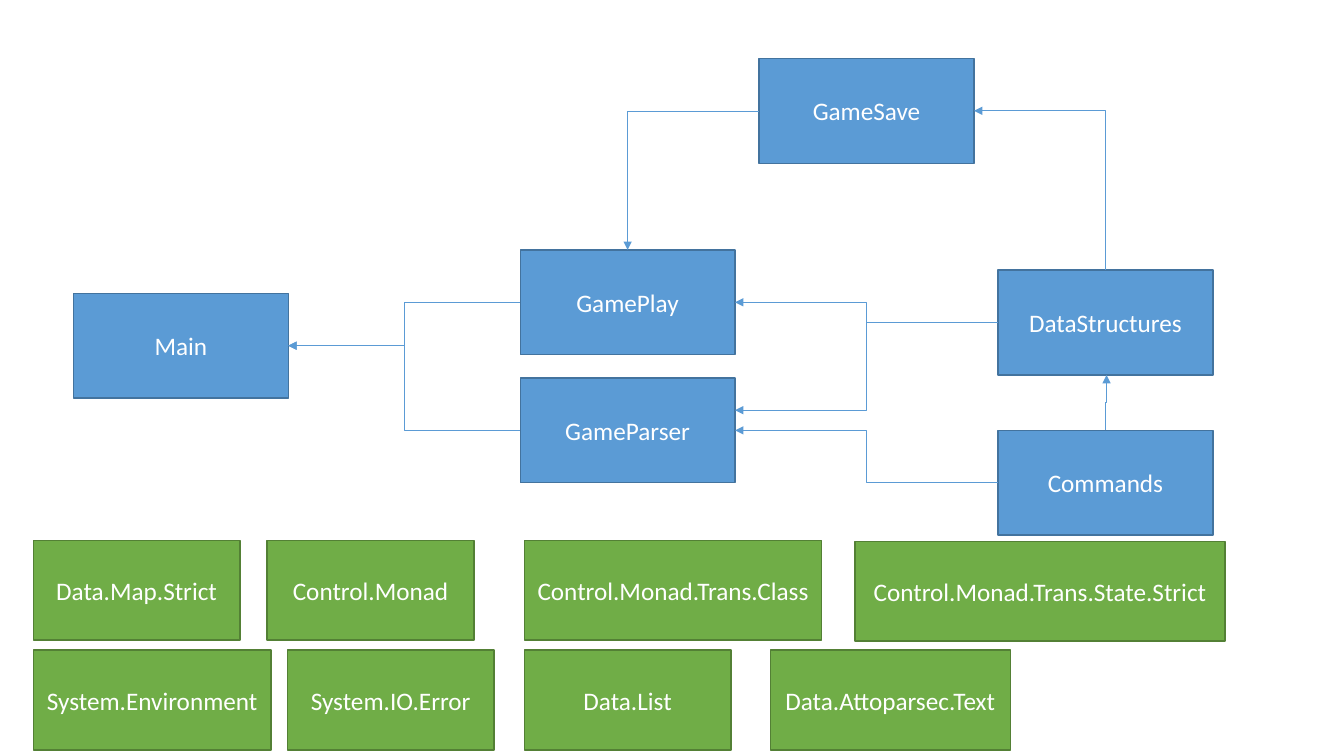
from dataclasses import dataclass

from lxml import etree
from pptx import Presentation
from pptx import util as u
from pptx.dml import color
from pptx.enum import shapes, text
from pptx.oxml import ns

PX = 9144
TOP, LEFT, BOTTOM, RIGHT = range(4)


@dataclass(frozen=True)
class Theme:
    module_fill: str = "5B9BD5"
    module_edge: str = "43739E"
    library_fill: str = "70AD47"
    library_edge: str = "538035"
    arrow: str = "5B9BD5"
    label: str = "FFFFFF"
    font: str = "Calibri"
    label_size: int = 18
    edge_width: float = 1
    arrow_width: float = 0.5


THEME = Theme()
MODULE_SIZE = (213, 104)
LIBRARY_HEIGHT = 99

MODULES = {
    "Main": (73, 291),
    "Commands": (990, 427),
    "GameParser": (516, 375),
    "GamePlay": (516, 248),
    "DataStructures": (990, 268),
    "GameSave": (753, 58),
}

LINKS = [
    ("GamePlay", LEFT, "Main", RIGHT, 0),
    ("GameParser", LEFT, "Main", RIGHT, 0),
    ("Commands", LEFT, "GameParser", RIGHT, 0),
    ("DataStructures", LEFT, "GameParser", RIGHT, -20),
    ("Commands", TOP, "DataStructures", BOTTOM, 1),
    ("DataStructures", LEFT, "GamePlay", RIGHT, 0),
    ("GameSave", LEFT, "GamePlay", TOP, 0),
    ("DataStructures", TOP, "GameSave", RIGHT, 0),
]

LIBRARIES = [
    ("Data.Map.Strict", 33, 536, 205),
    ("Control.Monad", 265, 536, 205),
    ("Control.Monad.Trans.State.Strict", 848, 537, 367),
    ("Control.Monad.Trans.Class", 520, 536, 295),
    ("System.Environment", 33, 645, 236),
    ("System.IO.Error", 285, 645, 205),
    ("Data.List", 520, 645, 205),
    ("Data.Attoparsec.Text", 764, 645, 238),
]


def rgb(value):
    return color.RGBColor.from_string(value)


def add_box(page, label, left, top, width, height, fill, edge):
    box = page.shapes.add_shape(
        shapes.MSO_SHAPE.RECTANGLE, left * PX, top * PX, width * PX, height * PX
    )
    box.shadow.inherit = False
    box.fill.solid()
    box.fill.fore_color.rgb = rgb(fill)
    box.line.color.rgb = rgb(edge)
    box.line.width = u.Pt(THEME.edge_width)
    frame = box.text_frame
    frame.word_wrap = True
    frame.vertical_anchor = text.MSO_ANCHOR.MIDDLE
    para = frame.paragraphs[0]
    para.alignment = text.PP_ALIGN.CENTER
    span = para.add_run()
    span.text = label
    span.font.name = THEME.font
    span.font.size = u.Pt(THEME.label_size)
    span.font.color.rgb = rgb(THEME.label)
    return box


def side_point(box, side, shift=0):
    middle_x = box.left + box.width // 2 + shift * PX
    middle_y = box.top + box.height // 2 + shift * PX
    return {
        TOP: (middle_x, box.top),
        LEFT: (box.left, middle_y),
        BOTTOM: (middle_x, box.top + box.height),
        RIGHT: (box.left + box.width, middle_y),
    }[side]


def add_rising_elbow(page, x1, y1, x2, y2):
    length, drift = abs(y2 - y1), abs(x2 - x1)
    left = (x1 + x2 - length) // 2
    top = (y1 + y2 - drift) // 2
    ends = (top + drift, top) if x2 < x1 else (top, top + drift)
    arrow = page.shapes.add_connector(
        shapes.MSO_CONNECTOR.ELBOW, left, ends[0], left + length, ends[1]
    )
    arrow._element.spPr.find(ns.qn("a:xfrm")).set("rot", str(270 * 60000))
    return arrow


def add_link(page, start, start_side, end, end_side, shift):
    x1, y1 = side_point(start, start_side)
    x2, y2 = side_point(end, end_side, shift)
    if start_side == TOP:
        arrow = add_rising_elbow(page, x1, y1, x2, y2)
    else:
        arrow = page.shapes.add_connector(
            shapes.MSO_CONNECTOR.ELBOW, x1, y1, x2, y2
        )
        arrow.begin_connect(start, start_side)
        if not shift:
            arrow.end_connect(end, end_side)
    props = arrow._element.spPr
    if start_side % 2 != end_side % 2:
        props.find(ns.qn("a:prstGeom")).set("prst", "bentConnector2")
    arrow.line.color.rgb = rgb(THEME.arrow)
    arrow.line.width = u.Pt(THEME.arrow_width)
    etree.SubElement(props.find(ns.qn("a:ln")), ns.qn("a:tailEnd"), type="triangle")
    etree.SubElement(props, ns.qn("a:effectLst"))


def main():
    deck = Presentation()
    deck.slide_width, deck.slide_height = u.Inches(13.33), u.Inches(7.5)
    page = deck.slides.add_slide(deck.slide_layouts[6])
    modules = {
        label: add_box(
            page, label, *corner, *MODULE_SIZE, THEME.module_fill, THEME.module_edge
        )
        for label, corner in MODULES.items()
    }
    for start, start_side, end, end_side, shift in LINKS:
        add_link(page, modules[start], start_side, modules[end], end_side, shift)
    for label, left, top, width in LIBRARIES:
        add_box(
            page, label, left, top, width, LIBRARY_HEIGHT,
            THEME.library_fill, THEME.library_edge,
        )
    deck.save("out.pptx")


if __name__ == "__main__":
    main()
